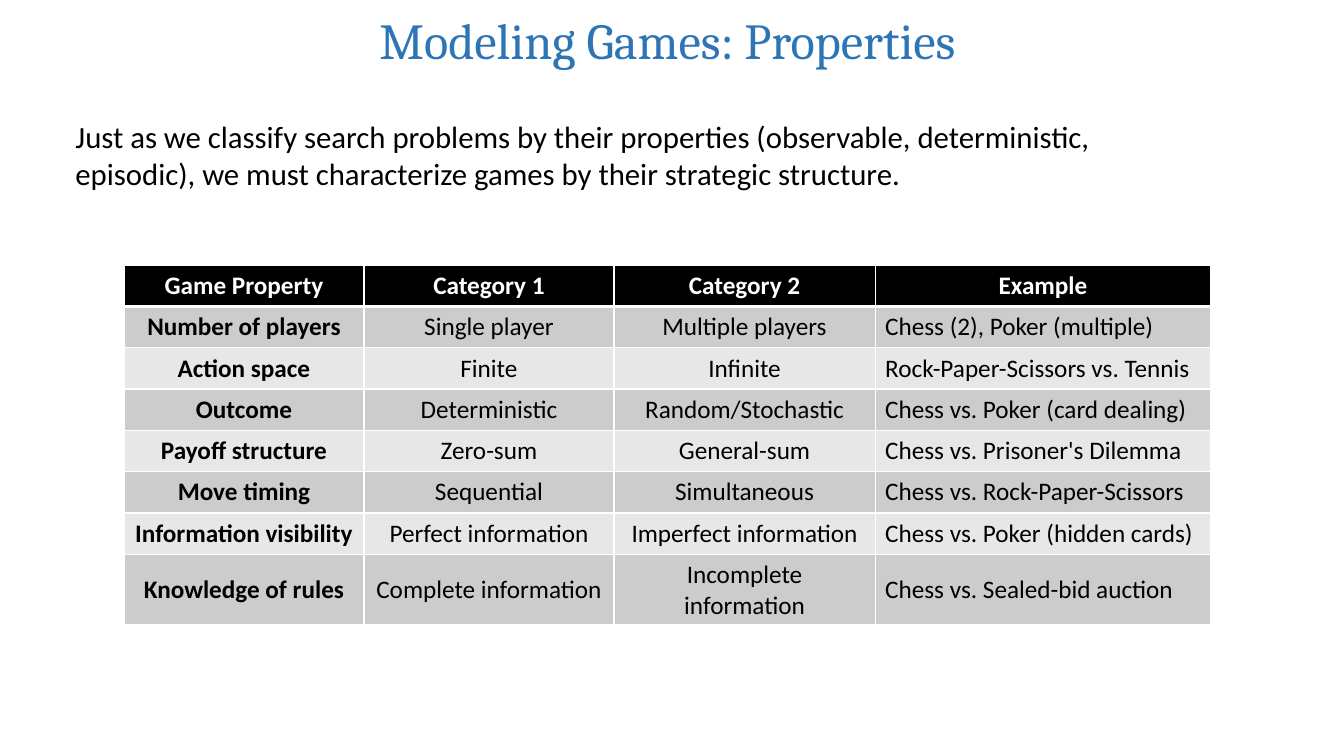
from lxml.etree import SubElement
from pptx import Presentation
from pptx.dml.color import RGBColor
from pptx.enum.text import MSO_ANCHOR as Anchor, MSO_AUTO_SIZE as AutoSize, PP_ALIGN as Align
from pptx.oxml.ns import qn
from pptx.util import Inches, Pt

BLACK = RGBColor(0x00, 0x00, 0x00)
WHITE = RGBColor(0xFF, 0xFF, 0xFF)
TITLE_BLUE = RGBColor(0x2E, 0x75, 0xB6)
DARK_BAND = RGBColor(0xCC, 0xCC, 0xCC)
LIGHT_BAND = RGBColor(0xE7, 0xE7, 0xE7)

TITLE = "Modeling Games: Properties"
INTRO = (
    "Just as we classify search problems by their properties (observable, deterministic, "
    "episodic), we must characterize games by their strategic structure."
)
PROPERTIES = [
    ("Game Property", "Category 1", "Category 2", "Example"),
    ("Number of players", "Single player", "Multiple players", "Chess (2), Poker (multiple)"),
    ("Action space", "Finite", "Infinite", "Rock-Paper-Scissors vs. Tennis"),
    ("Outcome", "Deterministic", "Random/Stochastic", "Chess vs. Poker (card dealing)"),
    ("Payoff structure", "Zero-sum", "General-sum", "Chess vs. Prisoner's Dilemma"),
    ("Move timing", "Sequential", "Simultaneous", "Chess vs. Rock-Paper-Scissors"),
    ("Information visibility", "Perfect information", "Imperfect information",
     "Chess vs. Poker (hidden cards)"),
    ("Knowledge of rules", "Complete information", "Incomplete information",
     "Chess vs. Sealed-bid auction"),
]
COLUMN_WIDTHS = (2.38, 2.48, 2.59, 3.33)
LINE_HEIGHT = 0.41
WRAPPED_HEIGHT = 0.7


def write(frame, text, size, font="Calibri", color=BLACK, bold=False, align=Align.LEFT,
          anchor=Anchor.TOP):
    frame.word_wrap = True
    frame.vertical_anchor = anchor
    paragraph = frame.paragraphs[0]
    paragraph.alignment = align
    run = paragraph.add_run()
    run.text = text
    run.font.size = Pt(size)
    run.font.name = font
    run.font.bold = bold
    run.font.color.rgb = color


def add_title(slide, box):
    title = slide.shapes.title
    title.left, title.top, title.width, title.height = map(Inches, box)
    write(title.text_frame, TITLE, 36, font="Cambria", color=TITLE_BLUE,
          align=Align.CENTER, anchor=Anchor.MIDDLE)
    title.text_frame.auto_size = AutoSize.NONE


def add_intro(slide, box):
    intro = slide.shapes.add_textbox(*map(Inches, box))
    write(intro.text_frame, INTRO, 22)
    intro.text_frame.auto_size = AutoSize.SHAPE_TO_FIT_TEXT


def set_borders(cell, **widths):
    properties = cell._tc.get_or_add_tcPr()
    for side in "LRTB":
        line = SubElement(properties, qn(f"a:ln{side}"), w=str(Pt(widths.get(side, 1))))
        fill = SubElement(line, qn("a:solidFill"))
        SubElement(fill, qn("a:srgbClr"), val=str(WHITE))


def format_cell(cell, text, row, column):
    header = row == 0
    example = column == len(COLUMN_WIDTHS) - 1
    set_borders(cell, T=3 if row == 1 else 1, B=3 if header else 1)
    cell.fill.solid()
    cell.fill.fore_color.rgb = BLACK if header else DARK_BAND if row % 2 else LIGHT_BAND
    write(cell.text_frame, text, 18, color=WHITE if header else BLACK,
          bold=header or column == 0,
          align=Align.LEFT if example and not header else Align.CENTER)
    cell.vertical_anchor = Anchor.MIDDLE


def add_properties(slide, box):
    table = slide.shapes.add_table(len(PROPERTIES), len(COLUMN_WIDTHS), *map(Inches, box)).table
    for column, width in zip(table.columns, COLUMN_WIDTHS):
        column.width = Inches(width)
    for row in table.rows:
        row.height = Inches(LINE_HEIGHT)
    table.rows[len(PROPERTIES) - 1].height = Inches(WRAPPED_HEIGHT)
    for row, texts in enumerate(PROPERTIES):
        for column, text in enumerate(texts):
            format_cell(table.cell(row, column), text, row, column)


def main():
    deck = Presentation()
    deck.slide_width, deck.slide_height = Inches(13.33), Inches(7.5)
    slide = deck.slides.add_slide(deck.slide_layouts[5])
    add_title(slide, (0.52, 0.08, 12.2, 0.62))
    add_intro(slide, (0.65, 1.12, 10.51, 0.84))
    add_properties(slide, (1.23, 2.63, sum(COLUMN_WIDTHS), 3.54))
    deck.save("out.pptx")


if __name__ == "__main__":
    main()
